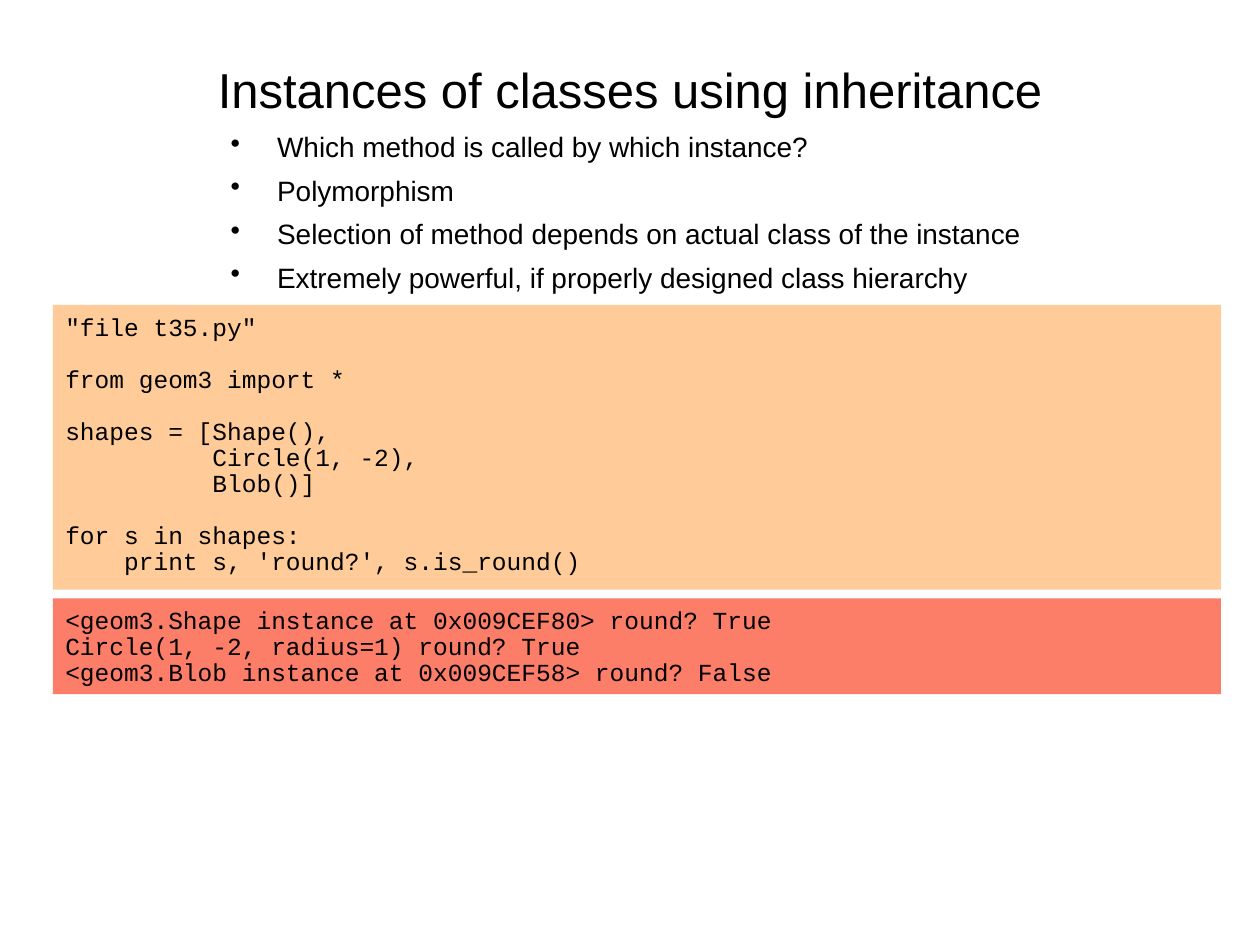
from dataclasses import dataclass

from pptx import Presentation
from pptx import util as u
from pptx.dml.color import RGBColor
from pptx.enum import shapes, text
from pptx.oxml import parse_xml
from pptx.oxml.ns import nsdecls


@dataclass(frozen=True)
class Theme:
    ink: RGBColor = RGBColor(0x00, 0x00, 0x00)
    source_fill: RGBColor = RGBColor(0xFF, 0xCC, 0x99)
    output_fill: RGBColor = RGBColor(0xFC, 0x7D, 0x68)
    body_font: str = "Arial"
    code_font: str = "Courier New"
    title_size: float = 28
    bullet_size: float = 16
    code_size: float = 14
    code_pitch: float = 14.9
    bullet_gap: float = 4.9
    line_spacing: float = 1.04


class SlideBuilder:
    """Holds the theme and the current slide."""

    def __init__(self, slide, theme):
        self.slide = slide
        self.theme = theme

    def _frame(self, shape, margins, anchor):
        frame = shape.text_frame
        frame.word_wrap = True
        frame.auto_size = text.MSO_AUTO_SIZE.NONE
        frame.vertical_anchor = anchor
        horizontal, vertical = (u.Inches(margin) for margin in margins)
        frame.margin_left = frame.margin_right = horizontal
        frame.margin_top = frame.margin_bottom = vertical
        return frame

    def _line(self, frame, index, words, font, size, spacing, align):
        paragraph = frame.add_paragraph() if index else frame.paragraphs[0]
        paragraph.alignment = align
        paragraph.line_spacing = spacing
        paragraph.space_before = u.Pt(0)
        run = paragraph.add_run()
        run.text = words
        run.font.name = font
        run.font.size = u.Pt(size)
        run.font.color.rgb = self.theme.ink
        return paragraph

    def title(self, words, left, top, width, height):
        shape = self.slide.shapes.title
        shape.left, shape.top = u.Inches(left), u.Inches(top)
        shape.width, shape.height = u.Inches(width), u.Inches(height)
        frame = self._frame(shape, (0, 0), text.MSO_ANCHOR.MIDDLE)
        self._line(frame, 0, words, self.theme.body_font, self.theme.title_size,
                   self.theme.line_spacing, text.PP_ALIGN.CENTER)

    def bullets(self, items, left, top, width, height, indent):
        box = self.slide.shapes.add_textbox(
            u.Inches(left), u.Inches(top), u.Inches(width), u.Inches(height))
        frame = self._frame(box, (0, 0), text.MSO_ANCHOR.TOP)
        for index, item in enumerate(items):
            paragraph = self._line(
                frame, index, item, self.theme.body_font, self.theme.bullet_size,
                self.theme.line_spacing, text.PP_ALIGN.LEFT)
            if index:
                paragraph.space_before = u.Pt(self.theme.bullet_gap)
            # Hanging bullet
            properties = paragraph._p.get_or_add_pPr()
            properties.set("marL", str(u.Inches(indent)))
            properties.set("indent", str(-u.Inches(indent)))
            properties.append(parse_xml(f'<a:buChar {nsdecls("a")} char="•"/>'))

    def code(self, stanzas, fill, left, top, width, height):
        """Draw a code panel, with one empty line's height between stanzas."""
        panel = self.slide.shapes.add_shape(
            shapes.MSO_SHAPE.RECTANGLE,
            u.Inches(left), u.Inches(top), u.Inches(width), u.Inches(height))
        panel.shadow.inherit = False
        panel.fill.solid()
        panel.fill.fore_color.rgb = fill
        panel.line.fill.background()
        frame = self._frame(panel, (0.1, 0.08), text.MSO_ANCHOR.TOP)
        pitch = u.Pt(self.theme.code_pitch)
        index = 0
        for stanza in stanzas:
            for position, line in enumerate(stanza):
                paragraph = self._line(
                    frame, index, line, self.theme.code_font,
                    self.theme.code_size, pitch, text.PP_ALIGN.LEFT)
                if index and position == 0:
                    paragraph.space_before = pitch
                index += 1


BULLETS = [
    "Which method is called by which instance?",
    "Polymorphism",
    "Selection of method depends on actual class of the instance",
    "Extremely powerful, if properly designed class hierarchy",
]
SOURCE = [
    ['"file t35.py"'],
    ["from geom3 import *"],
    ["shapes = [Shape(),",
     "          Circle(1, -2),",
     "          Blob()]"],
    ["for s in shapes:",
     "    print s, 'round?', s.is_round()"],
]
OUTPUT = [
    ["<geom3.Shape instance at 0x009CEF80> round? True",
     "Circle(1, -2, radius=1) round? True",
     "<geom3.Blob instance at 0x009CEF58> round? False"],
]


def main():
    presentation = Presentation()
    presentation.slide_width = u.Inches(10)
    presentation.slide_height = u.Inches(7.5)
    title_only = presentation.slide_layouts[5]
    theme = Theme()
    builder = SlideBuilder(presentation.slides.add_slide(title_only), theme)

    # Heading and key points
    builder.title("Instances of classes using inheritance", 0.75, 0.42, 8.5, 0.56)
    builder.bullets(BULLETS, 1.83, 1.02, 6.67, 1.34, indent=0.37)

    # Program and what it prints
    builder.code(SOURCE, theme.source_fill, 0.42, 2.42, 9.27, 2.26)
    builder.code(OUTPUT, theme.output_fill, 0.42, 4.75, 9.27, 0.76)

    presentation.save("out.pptx")


if __name__ == "__main__":
    main()
